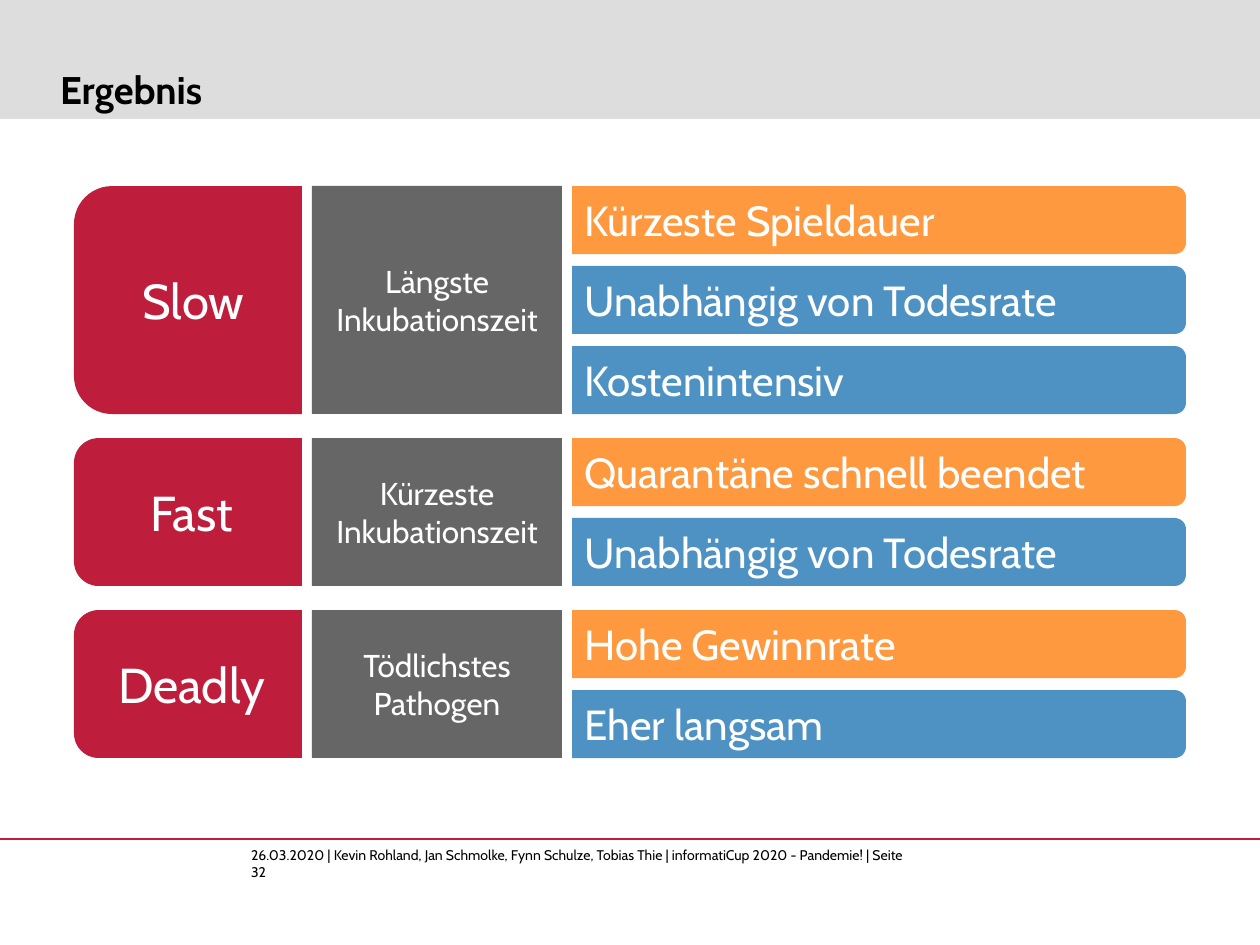
from pptx import Presentation
from pptx.dml.color import RGBColor
from pptx.enum.shapes import MSO_CONNECTOR, MSO_SHAPE
from pptx.enum.text import MSO_ANCHOR as Anchor, PP_ALIGN as Align
from pptx.oxml.ns import qn
from pptx.util import Emu, Pt

PX_PER_INCH = 126
FONT = "Cabin"
RED, GREY, ORANGE, BLUE = "BE1E3C", "666666", "FF993F", "4D92C3"
BLACK, WHITE, BAND = "000000", "FFFFFF", "DDDDDD"

NAME_COLUMN = (74, 228)
TRAIT_COLUMN = (312, 250)
FINDING_COLUMN = (572, 614)
FIRST_TOP = 186
BAR_HEIGHT, BAR_GAP, GROUP_GAP = 68, 12, 24

STRATEGIES = [
    ("Slow", "Längste Inkubationszeit",
     [("Kürzeste Spieldauer", ORANGE),
      ("Unabhängig von Todesrate", BLUE),
      ("Kostenintensiv", BLUE)]),
    ("Fast", "Kürzeste Inkubationszeit",
     [("Quarantäne schnell beendet", ORANGE),
      ("Unabhängig von Todesrate", BLUE)]),
    ("Deadly", "Tödlichstes\nPathogen",
     [("Hohe Gewinnrate", ORANGE),
      ("Eher langsam", BLUE)]),
]


def px(length):
    return Emu(round(length * 914400 / PX_PER_INCH))


def color(hex_code):
    return RGBColor.from_string(hex_code)


def write(frame, text, size, hex_code=WHITE, bold=False,
          align=Align.LEFT, anchor=Anchor.MIDDLE):
    frame.word_wrap = True
    frame.vertical_anchor = anchor
    frame.text = text
    for paragraph in frame.paragraphs:
        paragraph.alignment = align
        font = paragraph.font
        font.name, font.size, font.bold = FONT, Pt(size), bold
        font.color.rgb = color(hex_code)


def add_label(slide, left, top, width, height, text, **style):
    """Add a text box without margins."""
    frame = slide.shapes.add_textbox(
        px(left), px(top), px(width), px(height)).text_frame
    frame.margin_left = frame.margin_right = 0
    frame.margin_top = frame.margin_bottom = 0
    write(frame, text, **style)


def add_block(slide, preset, left, top, width, height, fill):
    block = slide.shapes.add_shape(
        preset, px(left), px(top), px(width), px(height))
    block.shadow.inherit = False
    block.fill.solid()
    block.fill.fore_color.rgb = color(fill)
    block.line.fill.background()
    return block


def add_turned_block(slide, left, top, width, height, fill, rotation, flow):
    """Add a block rounded on one side; flow turns its text back upright."""
    shift = (width - height) / 2
    block = add_block(slide, MSO_SHAPE.ROUND_2_SAME_RECTANGLE,
                      left + shift, top - shift, height, width, fill)
    block.rotation = rotation
    block.text_frame._txBody.bodyPr.set("vert", flow)
    return block


def add_rule(slide, top, width, hex_code):
    rule = slide.shapes.add_connector(
        MSO_CONNECTOR.STRAIGHT, 0, px(top), px(width), px(top))
    rule.line.color.rgb = color(hex_code)
    rule.line.width = Pt(0.75)
    properties = rule._element.spPr
    properties.append(properties.makeelement(qn("a:effectLst"), {}))


def add_strategy(slide, top, name, trait, findings):
    """Add one row group and return its height."""
    pitch = BAR_HEIGHT + BAR_GAP
    height = len(findings) * pitch - BAR_GAP

    left, width = NAME_COLUMN
    name_block = add_turned_block(
        slide, left, top, width, height, RED, 270, "vert")
    write(name_block.text_frame, name, size=28, align=Align.CENTER)

    left, width = TRAIT_COLUMN
    trait_block = add_block(
        slide, MSO_SHAPE.RECTANGLE, left, top, width, height, GREY)
    write(trait_block.text_frame, trait, size=18, align=Align.CENTER)

    left, width = FINDING_COLUMN
    for index, (finding, fill) in enumerate(findings):
        bar = add_turned_block(slide, left, top + index * pitch, width,
                               BAR_HEIGHT, fill, 90, "vert270")
        write(bar.text_frame, finding, size=24)
    return height


def main():
    deck = Presentation()
    deck.slide_width, deck.slide_height = px(1260), px(945)
    slide = deck.slides.add_slide(deck.slide_layouts[6])

    add_label(slide, 251, 847, 660, 34,
              "26.03.2020 | Kevin Rohland, Jan Schmolke, Fynn Schulze, "
              "Tobias Thie | informatiCup 2020 - Pandemie! | Seite 32",
              size=8, hex_code=BLACK, anchor=Anchor.TOP)
    add_rule(slide, 839, 1260, RED)
    add_block(slide, MSO_SHAPE.RECTANGLE, 0, 0, 1260, 119, BAND)
    add_label(slide, 60, 15, 1154, 97, "Ergebnis", size=22,
              hex_code=BLACK, bold=True, anchor=Anchor.BOTTOM)

    top = FIRST_TOP
    for name, trait, findings in STRATEGIES:
        top += add_strategy(slide, top, name, trait, findings) + GROUP_GAP

    deck.save("out.pptx")


if __name__ == "__main__":
    main()
